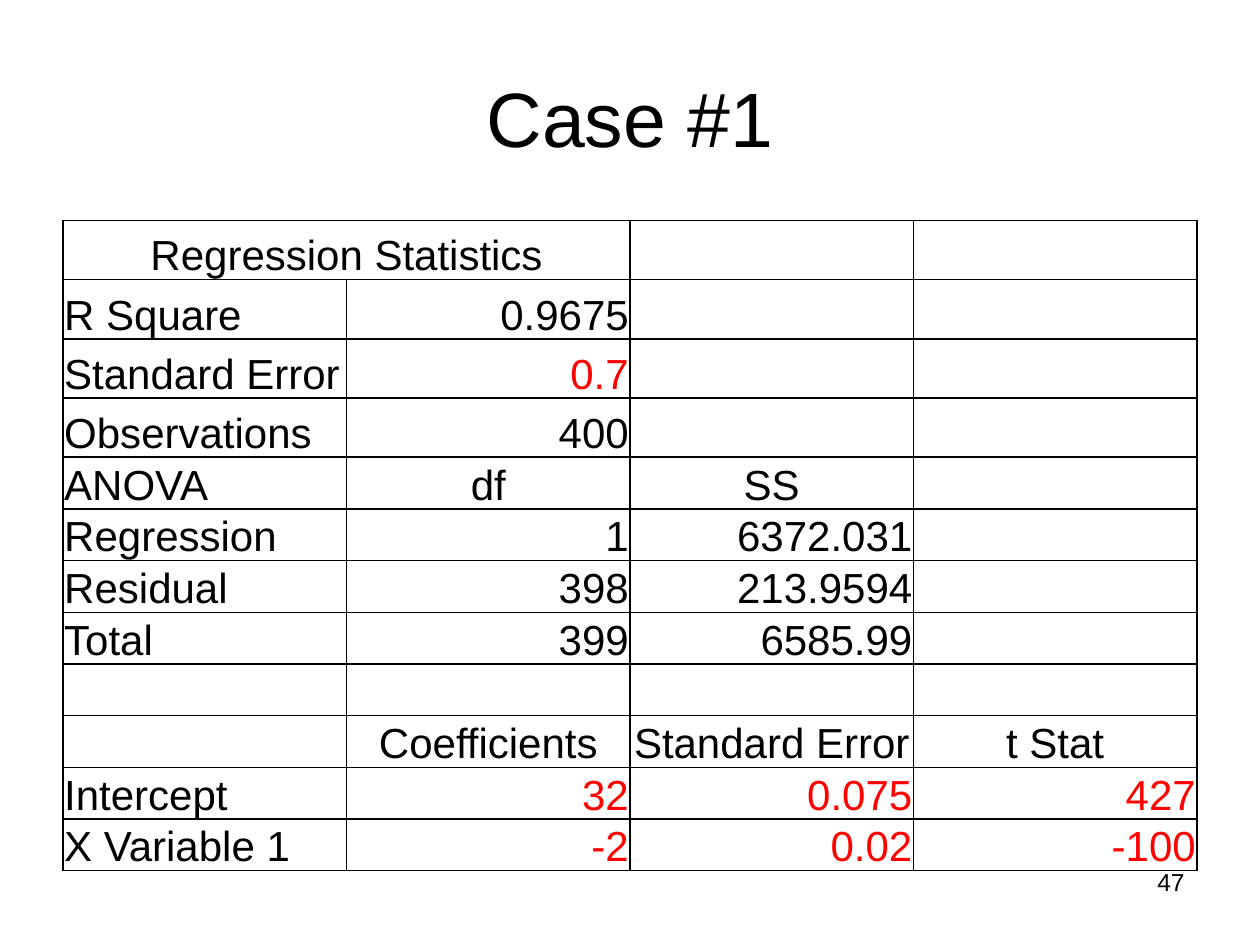
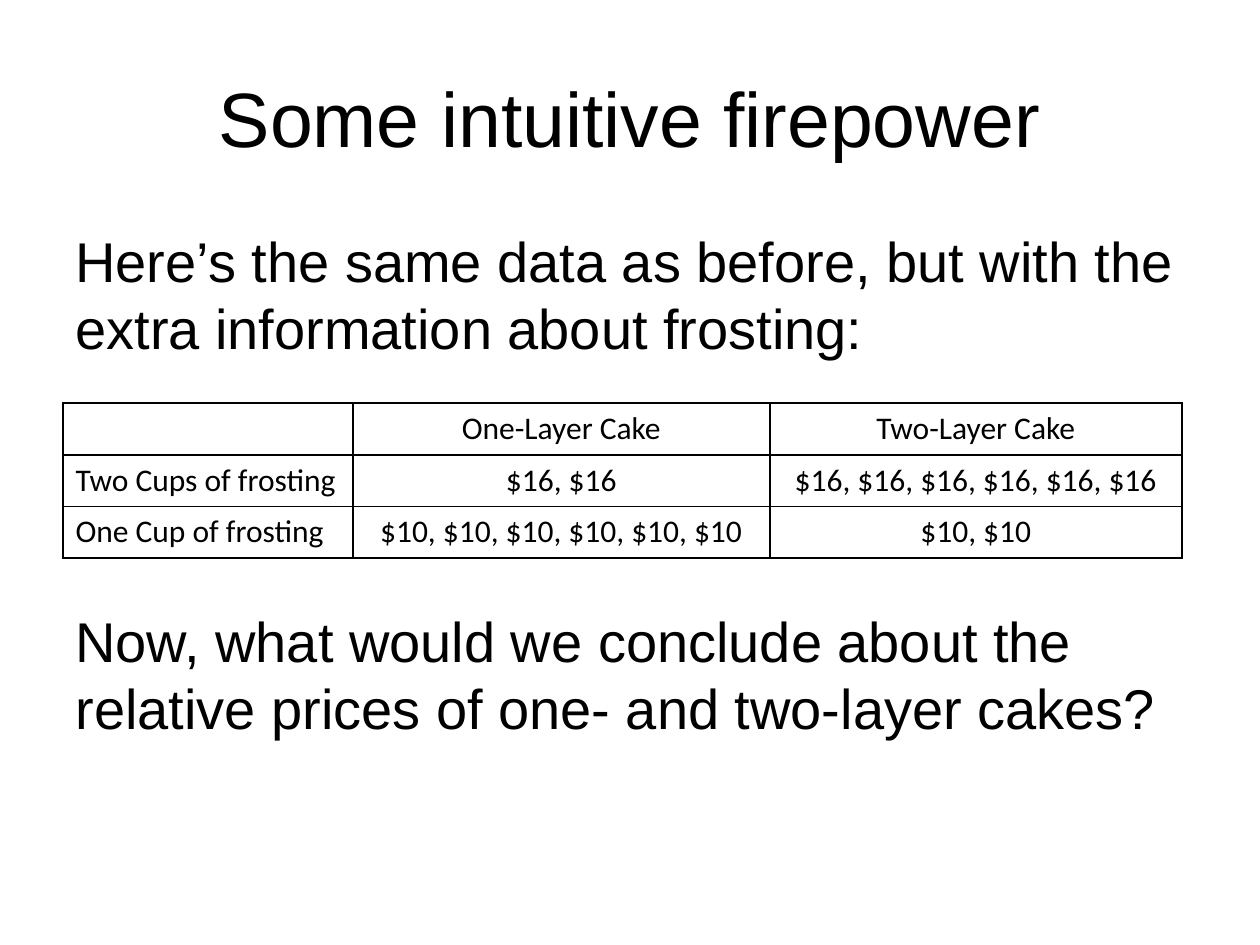
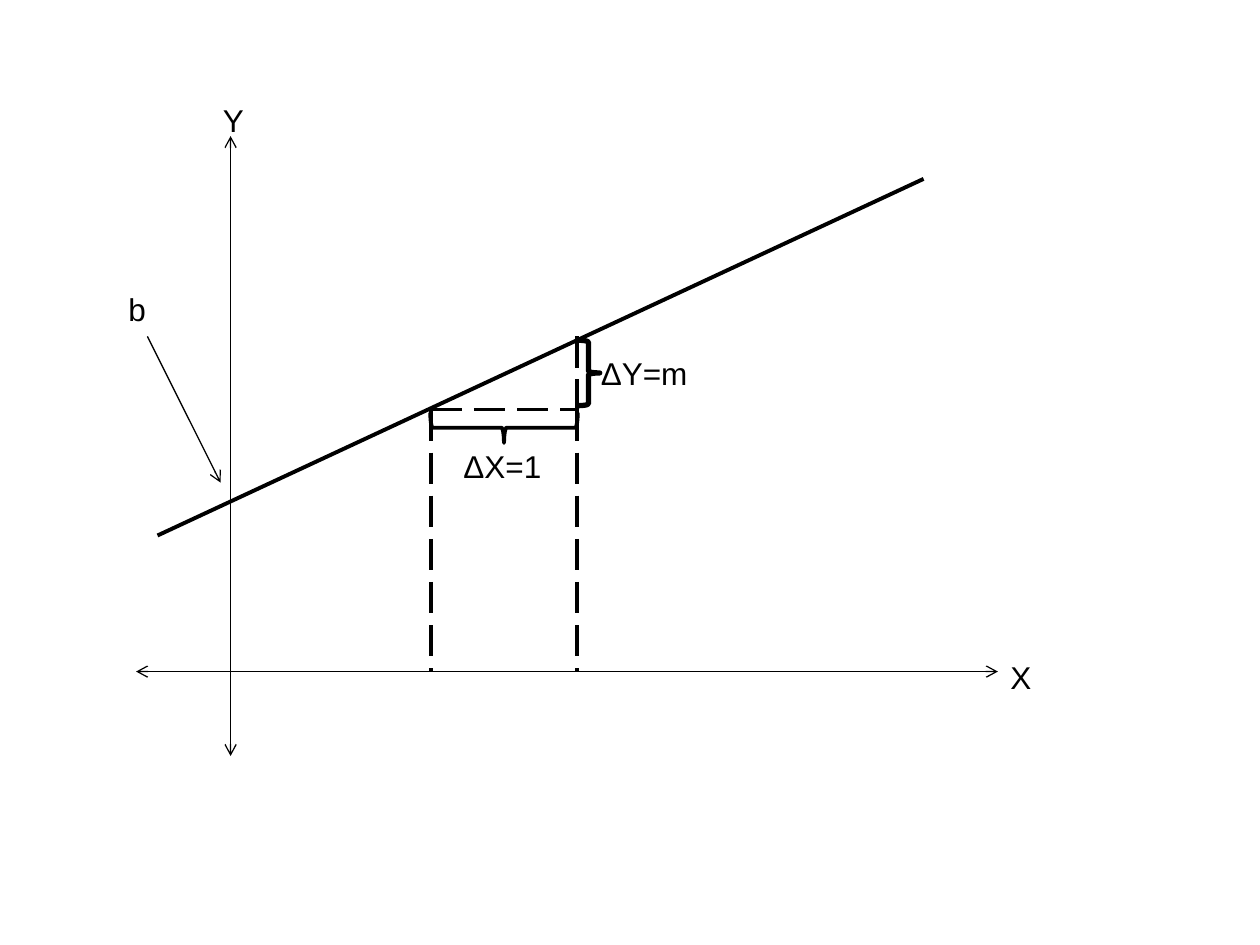
import itertools
from dataclasses import dataclass

import lxml.etree
import pptx
import pptx.dml.color
import pptx.enum.dml
import pptx.enum.shapes
import pptx.enum.text
import pptx.oxml.ns
import pptx.util

Inches = pptx.util.Inches
Pt = pptx.util.Pt
ALIGN = pptx.enum.text.PP_ALIGN
ANCHOR = pptx.enum.text.MSO_ANCHOR
SHAPE = pptx.enum.shapes.MSO_SHAPE


@dataclass(frozen=True)
class Theme:
    ink: str = "000000"
    accent: str = "FF0000"
    paper: str = "FFFFFF"
    font: str = "Arial"
    table_font: str = "Calibri"
    title_size: int = 44
    body_size: int = 32
    statistics_size: int = 24
    label_size: int = 18
    number_size: int = 14
    border: float = 1
    thin: float = 0.75
    thick: float = 2.25
    heavy: float = 3


THEME = Theme()

# Content: regression output
REGRESSION_ROWS = [
    ["Regression Statistics", "", "", ""],
    ["R Square", "0.9675", "", ""],
    ["Standard Error", "0.7", "", ""],
    ["Observations", "400", "", ""],
    ["ANOVA", "df", "SS", ""],
    ["Regression", "1", "6372.031", ""],
    ["Residual", "398", "213.9594", ""],
    ["Total", "399", "6585.99", ""],
    ["", "", "", ""],
    ["", "Coefficients", "Standard Error", "t Stat"],
    ["Intercept", "32", "0.075", "427"],
    ["X Variable 1", "-2", "0.02", "-100"],
]
KEY_FIGURES = {(2, 1), *itertools.product((10, 11), (1, 2, 3))}

# Content: cake prices
CAKE_TEXT = [
    "Here’s the same data as before, but with the extra information about frosting:",
    "Now, what would we conclude about the relative prices of one- and two-layer cakes?",
]
CAKE_ROWS = [
    ["", "One-Layer Cake", "Two-Layer Cake"],
    ["Two Cups of frosting", "$16, $16", "$16, $16, $16, $16, $16, $16"],
    ["One Cup of frosting", "$10, $10, $10, $10, $10, $10", "$10, $10"],
]

# Content: line diagram
ORIGIN_X, ORIGIN_Y = 1.83, 5.33
RUN_START, RUN_END = 3.42, 4.58
RISE_START, RISE_END = 3.25, 2.67
AXES = [
    ((ORIGIN_X, 1.08), (ORIGIN_X, 6)),
    ((1.08, ORIGIN_Y), (7.92, ORIGIN_Y)),
]
GUIDES = [
    ((RUN_START, RISE_START), (RUN_START, ORIGIN_Y)),
    ((RUN_END, RISE_START), (RUN_END, ORIGIN_Y)),
    ((RUN_START, RISE_START), (RUN_END, RISE_START)),
    ((RUN_END, RISE_END), (RUN_END, RISE_START)),
]
FITTED_LINE = ((1.25, 4.25), (7.33, 1.42))
INTERCEPT_POINTER = ((1.17, 2.67), (1.75, 3.83))
LABELS = [
    ("b", 0.92, 2.25, 0.42),
    ("ΔY=m", 4.67, 2.76, 0.92),
    ("ΔX=1", 3.58, 3.5, 0.92),
    ("Y", 1.67, 0.75, 0.42),
    ("X", 7.92, 5.17, 0.42),
]
BRACES = [
    ((3.88, 2.81, 0.24, 1.17), 90, THEME.thick),
    ((4.58, 2.7, 0.18, 0.52), 0, THEME.heavy),
]


def rgb(color):
    return pptx.dml.color.RGBColor.from_string(color)


def style_paragraph(paragraph, size, align=ALIGN.LEFT, font=THEME.font, color=THEME.ink):
    paragraph.alignment = align
    paragraph.font.size = Pt(size)
    paragraph.font.name = font
    paragraph.font.color.rgb = rgb(color)


def add_text(slide, texts, box, size, align=ALIGN.LEFT, anchor=ANCHOR.TOP, gap=0):
    frame = slide.shapes.add_textbox(*map(Inches, box)).text_frame
    frame.word_wrap = True
    frame.vertical_anchor = anchor
    for index, text in enumerate(texts):
        paragraph = frame.add_paragraph() if index else frame.paragraphs[0]
        paragraph.text = text
        paragraph.space_before = Pt(gap if index else 0)
        style_paragraph(paragraph, size, align)


def add_title(slide, text):
    add_text(slide, [text], (0.5, 0.3, 9, 1.25), THEME.title_size, ALIGN.CENTER, ANCHOR.MIDDLE)


def add_borders(cell):
    properties = cell._tc.get_or_add_tcPr()
    for index, side in enumerate(("lnL", "lnR", "lnT", "lnB")):
        line = lxml.etree.Element(pptx.oxml.ns.qn(f"a:{side}"), w=str(Pt(THEME.border)))
        fill = lxml.etree.SubElement(line, pptx.oxml.ns.qn("a:solidFill"))
        lxml.etree.SubElement(fill, pptx.oxml.ns.qn("a:srgbClr"), val=THEME.ink)
        properties.insert(index, line)


def cell_alignment(text, column):
    if column == 0:
        return ALIGN.LEFT
    is_number = text.lstrip("-").replace(".", "").isdigit()
    return ALIGN.RIGHT if is_number else ALIGN.CENTER


def add_grid(slide, rows, position, widths, heights, size, font, accents=()):
    frame = slide.shapes.add_table(
        len(rows), len(widths), *map(Inches, (*position, sum(widths), sum(heights))))
    table = frame.table
    table.first_row = table.horz_banding = False
    for column, width in zip(table.columns, widths):
        column.width = Inches(width)
    for row, height in zip(table.rows, heights):
        row.height = Inches(height)
    for row_index, texts in enumerate(rows):
        for column_index, text in enumerate(texts):
            cell = table.cell(row_index, column_index)
            cell.text = text
            cell.fill.background()
            add_borders(cell)
            color = THEME.accent if (row_index, column_index) in accents else THEME.ink
            style_paragraph(cell.text_frame.paragraphs[0], size,
                            cell_alignment(text, column_index), font, color)
    return table


def add_line(slide, start, end, width, dashed=False, arrows=()):
    connector = slide.shapes.add_connector(
        pptx.enum.shapes.MSO_CONNECTOR.STRAIGHT, *map(Inches, (*start, *end)))
    connector.line.color.rgb = rgb(THEME.ink)
    connector.line.width = Pt(width)
    if dashed:
        connector.line.dash_style = pptx.enum.dml.MSO_LINE.LONG_DASH
    properties = connector._element.spPr
    outline = properties.find(pptx.oxml.ns.qn("a:ln"))
    for arrow in arrows:
        lxml.etree.SubElement(outline, pptx.oxml.ns.qn(f"a:{arrow}"), type="arrow")
    lxml.etree.SubElement(properties, pptx.oxml.ns.qn("a:effectLst"))


def add_brace(slide, box, rotation, width):
    brace = slide.shapes.add_shape(SHAPE.RIGHT_BRACE, *map(Inches, box))
    brace.rotation = rotation
    brace.shadow.inherit = False
    brace.fill.background()
    brace.line.color.rgb = rgb(THEME.ink)
    brace.line.width = Pt(width)


def build_regression(slide):
    add_title(slide, "Case #1")
    table = add_grid(slide, REGRESSION_ROWS, (0.5, 1.75), [2.25] * 4,
                     [0.47] * 4 + [0.41] * 8, THEME.statistics_size, THEME.font, KEY_FIGURES)
    for cell in table.iter_cells():
        cell.vertical_anchor = ANCHOR.BOTTOM
        cell.margin_left = cell.margin_right = cell.margin_top = Inches(0.01)
        cell.margin_bottom = 0
    heading = table.cell(0, 0)
    heading.merge(table.cell(0, 1))
    heading.text_frame.paragraphs[0].alignment = ALIGN.CENTER
    add_text(slide, ["47"], (7.17, 6.83, 2.33, 0.52), THEME.number_size, ALIGN.RIGHT)


def build_cakes(slide):
    add_title(slide, "Some intuitive firepower")
    # The gap between the paragraphs leaves room for the table
    add_text(slide, CAKE_TEXT, (0.5, 1.75, 9, 4.95), THEME.body_size, gap=140)
    add_grid(slide, CAKE_ROWS, (0.5, 3.2), [2.3, 3.31, 3.27], [0.41] * 3,
             THEME.label_size, THEME.table_font)


def build_diagram(slide):
    for start, end in AXES:
        add_line(slide, start, end, THEME.thin, arrows=("headEnd", "tailEnd"))
    for start, end in GUIDES:
        add_line(slide, start, end, THEME.thick, dashed=True)
    add_line(slide, *FITTED_LINE, THEME.thick)
    add_line(slide, *INTERCEPT_POINTER, THEME.thin, arrows=("tailEnd",))
    for text, left, top, width in LABELS:
        add_text(slide, [text], (left, top, width, 0.4), THEME.label_size)
    for box, rotation, width in BRACES:
        add_brace(slide, box, rotation, width)


def main():
    presentation = pptx.Presentation()
    presentation.slide_width = Inches(10)
    presentation.slide_height = Inches(7.5)
    for build in (build_regression, build_cakes, build_diagram):
        slide = presentation.slides.add_slide(presentation.slide_layouts[6])
        slide.background.fill.solid()
        slide.background.fill.fore_color.rgb = rgb(THEME.paper)
        build(slide)
    presentation.save("out.pptx")


if __name__ == "__main__":
    main()
